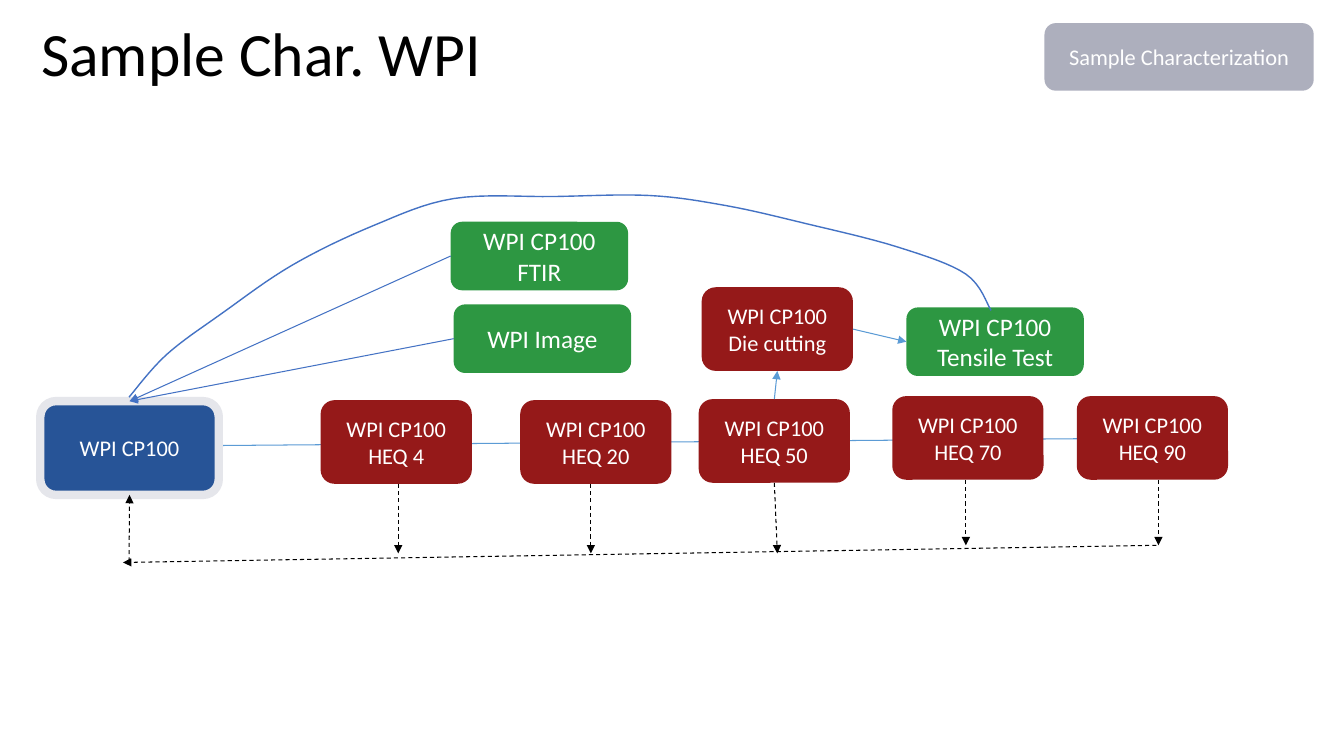
"""Build the WPI sample characterization workflow slide."""
from dataclasses import dataclass
from typing import NamedTuple, Optional, Union

from lxml import etree
from pptx import Presentation
from pptx.dml.color import RGBColor
from pptx.enum.dml import MSO_LINE
from pptx.enum.shapes import MSO_CONNECTOR, MSO_SHAPE
from pptx.enum.text import MSO_ANCHOR, PP_ALIGN
from pptx.oxml.ns import qn
from pptx.shapes.autoshape import Shape
from pptx.slide import Slide
from pptx.util import Inches, Pt

ROUNDED = MSO_SHAPE.ROUNDED_RECTANGLE
STRAIGHT = MSO_CONNECTOR.STRAIGHT
DASH = MSO_LINE.DASH
MIDDLE = MSO_ANCHOR.MIDDLE
CENTER = PP_ALIGN.CENTER
TOP, LEFT, BOTTOM, RIGHT = range(4)

FONT = "Calibri"
BLACK = RGBColor(0x00, 0x00, 0x00)
WHITE = RGBColor(0xFF, 0xFF, 0xFF)
SAMPLE_BLUE = RGBColor(0x27, 0x54, 0x97)
HALO_GREY = RGBColor(0xE5, 0xE6, 0xEB)
TEST_GREEN = RGBColor(0x2D, 0x97, 0x42)
PROCESS_RED = RGBColor(0x95, 0x19, 0x19)
TAG_GREY = RGBColor(0xAD, 0xAF, 0xBD)
FLOW_BLUE = RGBColor(0x5B, 0x9B, 0xD5)
RESULT_BLUE = RGBColor(0x44, 0x72, 0xC4)


class Point(NamedTuple):
    x: float
    y: float


class Joint(NamedTuple):
    label: str
    site: int


End = Union[Point, Joint]


@dataclass(frozen=True)
class Style:
    width: float
    height: float
    fill: RGBColor
    size: int
    halo: Optional[RGBColor] = None


@dataclass(frozen=True)
class Step:
    label: str
    left: float
    top: float
    style: Style


@dataclass(frozen=True)
class Stage:
    step: Step
    drop_end: Point
    joined: bool = False


@dataclass(frozen=True)
class Link:
    start: End
    end: End
    color: RGBColor
    dashed: bool = False


SAMPLE_STYLE = Style(1.77, 0.93, SAMPLE_BLUE, 16, HALO_GREY)
PROCESS_STYLE = Style(1.5, 0.83, PROCESS_RED, 16)
TEST_STYLE = Style(1.76, 0.68, TEST_GREEN, 18)
TAG_STYLE = Style(2.67, 0.67, TAG_GREY, 16)

SAMPLE = Step("WPI CP100", 0.4, 3.98, SAMPLE_STYLE)
DIE_CUTTING = Step("WPI CP100 Die cutting", 6.96, 2.85, PROCESS_STYLE)
TENSILE_TEST = Step("WPI CP100 Tensile Test", 8.99, 3.05, TEST_STYLE)
FTIR = Step("WPI CP100 FTIR", 4.47, 2.2, TEST_STYLE)
IMAGE = Step("WPI Image", 4.5, 3.02, TEST_STYLE)
TAG = Step("Sample Characterization", 10.36, 0.23, TAG_STYLE)

HEQ_4 = Step("WPI CP100 HEQ 4", 3.18, 3.97, PROCESS_STYLE)
HEQ_20 = Step("WPI CP100 HEQ 20", 5.16, 3.97, PROCESS_STYLE)
HEQ_50 = Step("WPI CP100 HEQ 50", 6.93, 3.96, PROCESS_STYLE)
HEQ_70 = Step("WPI CP100 HEQ 70", 8.85, 3.93, PROCESS_STYLE)
HEQ_90 = Step("WPI CP100 HEQ 90", 10.68, 3.93, PROCESS_STYLE)
HUMIDITY_STAGES = [
    Stage(HEQ_4, Point(3.95, 5.49)),
    Stage(HEQ_20, Point(5.86, 5.49)),
    Stage(HEQ_50, Point(7.71, 5.49), joined=True),
    Stage(HEQ_70, Point(9.58, 5.41)),
    Stage(HEQ_90, Point(11.49, 5.41)),
]
STEPS = [SAMPLE, DIE_CUTTING, TENSILE_TEST, FTIR, IMAGE, TAG,
         *[stage.step for stage in HUMIDITY_STAGES]]

RETURN_LINE = Link(Point(11.47, 5.41), Point(1.22, 5.58), BLACK, dashed=True)
STAGE_LINE = Link(Point(2.2, 4.42), Point(11.03, 4.35), FLOW_BLUE)
SAMPLE_TOP = Joint(SAMPLE.label, TOP)
RESULT_LINKS = [Link(Joint(test.label, LEFT), SAMPLE_TOP, RESULT_BLUE) for test in (FTIR, IMAGE)]
CUTTING_LINKS = [
    Link(Joint(HEQ_50.label, TOP), Joint(DIE_CUTTING.label, BOTTOM), FLOW_BLUE),
    Link(Joint(DIE_CUTTING.label, RIGHT), Joint(TENSILE_TEST.label, LEFT), FLOW_BLUE),
]
RETURN_RISE = Link(Point(1.28, 5.57), Joint(SAMPLE.label, BOTTOM), BLACK, dashed=True)

ARC_KNOTS = [
    Point(9.83, 3.08), Point(9.58, 2.72), Point(8.9, 2.45), Point(8, 2.22), Point(7.2, 2.04),
    Point(6.44, 1.94), Point(5.5, 1.95), Point(4.5, 1.97), Point(3.7, 2.24),
    Point(2.9, 2.63), Point(2.2, 3.11), Point(1.65, 3.52), Point(1.28, 3.94),
]
ARC_DIVISIONS = 8


def drop_link(stage: Stage) -> Link:
    """Lead from the bottom of a stage down to the return line."""
    step = stage.step
    bottom = step.top + step.style.height
    start: End = Point(stage.drop_end.x, bottom)
    if stage.joined:
        start = Joint(step.label, BOTTOM)
    return Link(start, stage.drop_end, BLACK, dashed=True)


def spline(before: float, start: float, end: float, after: float, t: float) -> float:
    """Return the Catmull-Rom value between start and end at share t."""
    return (2 * start + (end - before) * t
            + (2 * before - 5 * start + 4 * end - after) * t ** 2
            + (3 * start - before - 3 * end + after) * t ** 3) / 2


def smooth_arc(knots: list[Point]) -> list[Point]:
    """Run a smooth line through all knots."""
    padded = [knots[0], *knots, knots[-1]]
    arc = [knots[0]]
    for window in zip(padded, padded[1:], padded[2:], padded[3:]):
        for division in range(1, ARC_DIVISIONS + 1):
            share = division / ARC_DIVISIONS
            arc.append(Point(*[spline(*values, share) for values in zip(*window)]))
    return arc


def write_text(box: Shape, text: str, size: int, color: RGBColor) -> None:
    """Put one paragraph into a wrapping, vertically centred frame."""
    frame = box.text_frame
    frame.word_wrap = True
    frame.vertical_anchor = MIDDLE
    para = frame.paragraphs[0]
    para.text = text
    para.font.name = FONT
    para.font.size = Pt(size)
    para.font.color.rgb = color


def add_title(page: Slide, text: str) -> None:
    """Add the slide title."""
    box = page.shapes.add_textbox(Inches(0.31), Inches(-0.16), Inches(11.5), Inches(1.45))
    write_text(box, text, 44, BLACK)
    box.text_frame.paragraphs[0].line_spacing = 0.9


def add_step(page: Slide, step: Step) -> Shape:
    """Add a rounded box with a centred label."""
    style = step.style
    box = page.shapes.add_shape(
        ROUNDED, Inches(step.left), Inches(step.top), Inches(style.width), Inches(style.height))
    box.shadow.inherit = False
    box.fill.solid()
    box.fill.fore_color.rgb = style.fill
    if style.halo is None:
        box.line.fill.background()
    else:
        box.line.color.rgb = style.halo
        box.line.width = Pt(6)
    write_text(box, step.label, style.size, WHITE)
    box.text_frame.paragraphs[0].alignment = CENTER
    return box


def add_link(page: Slide, link: Link, boxes: dict[str, Shape]) -> None:
    """Add an arrow between free points or box sides."""
    ends = [Point(0, 0) if isinstance(end, Joint) else end for end in (link.start, link.end)]
    arrow = page.shapes.add_connector(STRAIGHT, *[Inches(value) for end in ends for value in end])
    for end, connect in ((link.start, arrow.begin_connect), (link.end, arrow.end_connect)):
        if isinstance(end, Joint):
            connect(boxes[end.label], end.site)
    arrow.line.color.rgb = link.color
    arrow.line.width = Pt(0.75)
    if link.dashed:
        arrow.line.dash_style = DASH
    properties = arrow.element.spPr
    etree.SubElement(properties.find(qn("a:ln")), qn("a:tailEnd"), type="triangle")
    etree.SubElement(properties, qn("a:effectLst"))


def add_arc(page: Slide) -> None:
    """Add the arc from the tensile test back to the sample."""
    start, *rest = [(Inches(x), Inches(y)) for x, y in smooth_arc(ARC_KNOTS)]
    builder = page.shapes.build_freeform(*start)
    builder.add_line_segments(rest, close=False)
    arc = builder.convert_to_shape()
    arc.shadow.inherit = False
    arc.fill.background()
    arc.line.color.rgb = RESULT_BLUE
    arc.line.width = Pt(1)


def main() -> None:
    """Create and save the deck."""
    deck = Presentation()
    deck.slide_width, deck.slide_height = Inches(13.33), Inches(7.5)
    page = deck.slides.add_slide(deck.slide_layouts[6])
    for link in (RETURN_LINE, STAGE_LINE):
        add_link(page, link, {})
    add_title(page, "Sample Char. WPI")
    boxes = {step.label: add_step(page, step) for step in STEPS}
    drops = [drop_link(stage) for stage in HUMIDITY_STAGES]
    for link in [*CUTTING_LINKS, *drops, RETURN_RISE, *RESULT_LINKS]:
        add_link(page, link, boxes)
    add_arc(page)
    deck.save("out.pptx")


if __name__ == "__main__":
    main()
